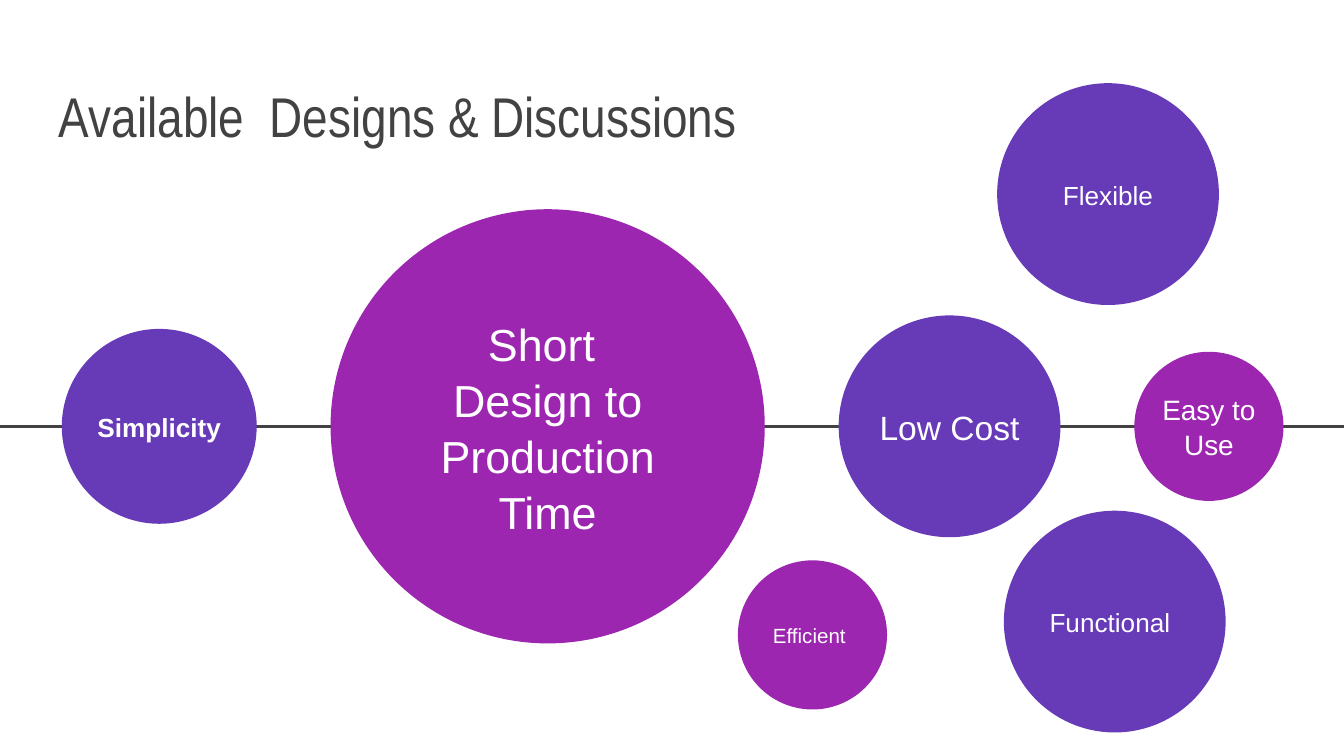
from dataclasses import dataclass

from lxml.etree import SubElement
from pptx import Presentation
from pptx.dml.color import RGBColor
from pptx.enum.shapes import MSO_CONNECTOR as Connector, MSO_SHAPE as Preset
from pptx.enum.text import MSO_ANCHOR as Anchor, PP_ALIGN as Align
from pptx.oxml.ns import qn
from pptx.shapes.autoshape import Shape
from pptx.slide import Slide
from pptx.util import Pt

PURPLE = RGBColor(0x67, 0x3A, 0xB7)
MAGENTA = RGBColor(0x9C, 0x26, 0xB0)
DARK_GRAY = RGBColor(0x42, 0x42, 0x42)
WHITE = RGBColor(0xFF, 0xFF, 0xFF)

SLIDE_WIDTH, SLIDE_HEIGHT = 720, 405
AXIS_Y = 228.4
AXIS_START = 33.1
AXIS_GAP = 39.6
LABEL_HEIGHT = 47.5
INSET = 7.2
LARGE, SMALL = 118.8, 79.9


@dataclass(frozen=True)
class Label:
    lines: tuple[str, ...]
    size: float
    color: RGBColor = WHITE
    font: str = "Arial"
    bold: bool = False
    align: Align = Align.CENTER
    anchor: Anchor = Anchor.MIDDLE
    spacing: float = 1.04


@dataclass(frozen=True)
class Bubble:
    diameter: float
    fill: RGBColor
    label: Label


@dataclass(frozen=True)
class FreeBubble:
    left: float
    top: float
    bubble: Bubble


TITLE = Label(("Available  Designs & Discussions",), 30, DARK_GRAY, "Arial Narrow",
              align=Align.LEFT, anchor=Anchor.BOTTOM, spacing=1.0)

AXIS_BUBBLES = (
    Bubble(104.4, PURPLE, Label(("Simplicity",), 14, bold=True)),
    Bubble(232.6, MAGENTA, Label(("Short ", "Design to Production", "Time"), 24)),
    Bubble(LARGE, PURPLE, Label(("Low Cost",), 18)),
    Bubble(SMALL, MAGENTA, Label(("Easy to Use",), 15)),
)

FREE_BUBBLES = (
    FreeBubble(537.8, 273.6, Bubble(LARGE, PURPLE, Label(("Functional",), 14, align=Align.LEFT))),
    FreeBubble(534.2, 44.6, Bubble(LARGE, PURPLE, Label(("Flexible",), 14))),
    FreeBubble(395.3, 300.2, Bubble(SMALL, MAGENTA, Label(("Efficient",), 11, align=Align.LEFT))),
)


def write_label(shape: Shape, label: Label) -> None:
    frame = shape.text_frame
    frame.word_wrap = True
    frame.vertical_anchor = label.anchor
    frame.margin_left = frame.margin_right = Pt(INSET)
    frame.margin_top = frame.margin_bottom = Pt(INSET)
    paragraph = frame.paragraphs[0]
    paragraph.alignment = label.align
    paragraph.line_spacing = label.spacing
    for index, line in enumerate(label.lines):
        if index:
            paragraph.add_line_break()
        run = paragraph.add_run()
        run.text = line
        run.font.name = label.font
        run.font.size = Pt(label.size)
        run.font.bold = label.bold
        run.font.color.rgb = label.color


def add_label(slide: Slide, left: float, top: float, width: float, height: float,
              label: Label) -> None:
    box = slide.shapes.add_textbox(Pt(left), Pt(top), Pt(width), Pt(height))
    write_label(box, label)


def add_circle(slide: Slide, left: float, top: float, bubble: Bubble) -> Shape:
    size = Pt(bubble.diameter)
    circle = slide.shapes.add_shape(Preset.OVAL, Pt(left), Pt(top), size, size)
    circle.shadow.inherit = False
    circle.fill.solid()
    circle.fill.fore_color.rgb = bubble.fill
    circle.line.fill.background()
    return circle


def add_axis(slide: Slide) -> None:
    axis = slide.shapes.add_connector(
        Connector.STRAIGHT, Pt(0), Pt(AXIS_Y), Pt(SLIDE_WIDTH), Pt(AXIS_Y))
    axis.line.color.rgb = DARK_GRAY
    axis.line.width = Pt(1.5)
    SubElement(axis.element.spPr, qn("a:effectLst"))


def add_axis_bubbles(slide: Slide) -> None:
    left = AXIS_START
    for bubble in AXIS_BUBBLES:
        add_circle(slide, left, AXIS_Y - bubble.diameter / 2, bubble)
        add_label(slide, left, AXIS_Y - LABEL_HEIGHT / 2, bubble.diameter, LABEL_HEIGHT,
                  bubble.label)
        left += bubble.diameter + AXIS_GAP


def main() -> None:
    """Build the slide of design benefits strung along a horizontal axis."""
    presentation = Presentation()
    presentation.slide_width = Pt(SLIDE_WIDTH)
    presentation.slide_height = Pt(SLIDE_HEIGHT)
    slide = presentation.slides.add_slide(presentation.slide_layouts[6])
    add_axis(slide)
    add_label(slide, 24.5, 29.5, 671, 57.6, TITLE)
    add_axis_bubbles(slide)
    for item in FREE_BUBBLES:
        circle = add_circle(slide, item.left, item.top, item.bubble)
        write_label(circle, item.bubble.label)
    presentation.save("out.pptx")


if __name__ == "__main__":
    main()
